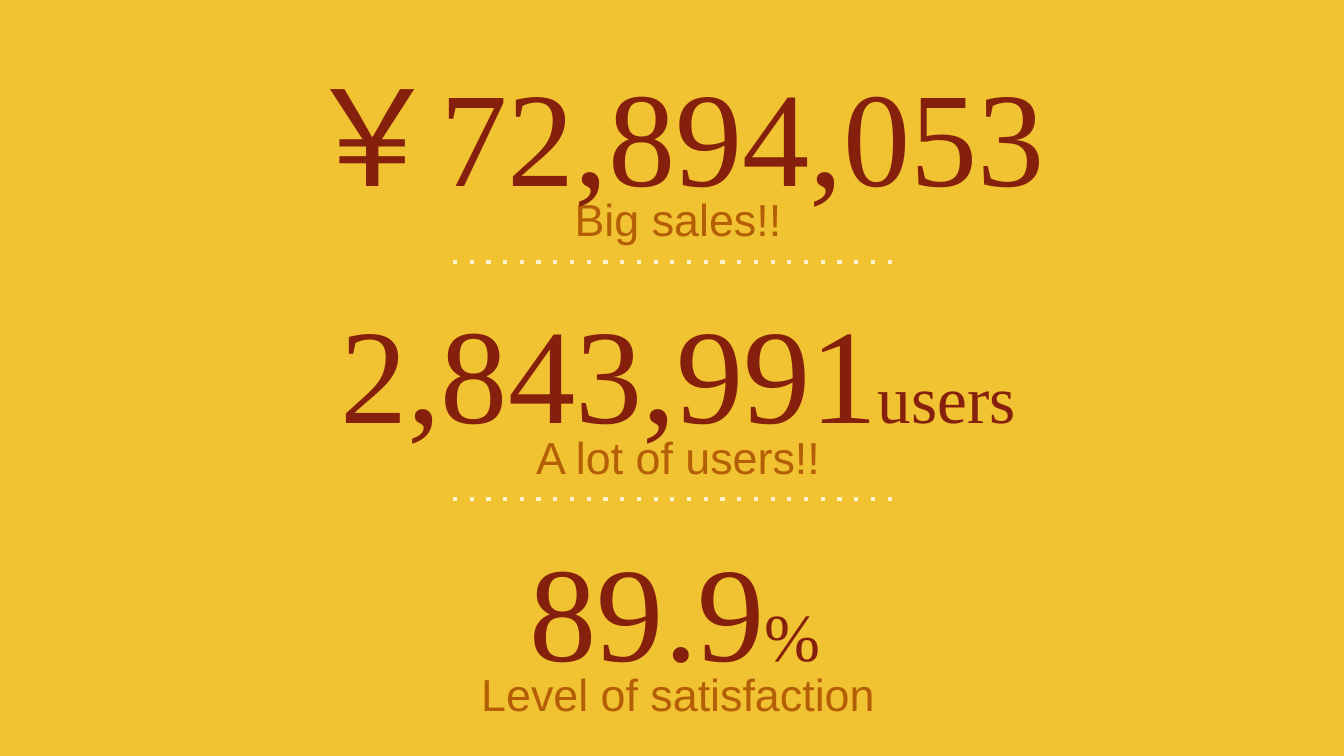
from pptx import Presentation
from pptx.dml.color import RGBColor
from pptx.enum.shapes import MSO_CONNECTOR
from pptx.enum.text import MSO_ANCHOR, PP_ALIGN
from pptx.oxml.ns import qn
from pptx.util import Inches, Pt
from lxml import etree

CENTER = PP_ALIGN.CENTER
TOP = MSO_ANCHOR.TOP
STRAIGHT = MSO_CONNECTOR.STRAIGHT

BACKGROUND = "F1C232"
FIGURE_COLOR = "85200C"
CAPTION_COLOR = "B45F06"
DIVIDER_COLOR = "FFF2CC"
SLIDE_WIDTH = 10
ROW_PITCH = 1.765

METRICS = [
    (0.96, [("￥72,894,053", 72)], "Big sales!!"),
    (0.98, [("2,843,991", 72), ("users", 36)], "A lot of users!!"),
    (0.96, [("89.9", 72), ("%", 36)], "Level of satisfaction"),
]


def rgb(value):
    return RGBColor.from_string(value)


def add_text(slide, left, top, width, height, parts, font, color, space_after=0):
    box = slide.shapes.add_textbox(
        Inches(left), Inches(top), Inches(width), Inches(height))
    frame = box.text_frame
    frame.word_wrap = True
    frame.vertical_anchor = TOP
    frame.margin_left = frame.margin_right = Inches(0.1)
    frame.margin_top = frame.margin_bottom = Inches(0.1)
    paragraph = frame.paragraphs[0]
    paragraph.alignment = CENTER
    paragraph.line_spacing = 1.15
    paragraph.space_after = Pt(space_after)
    for text, size in parts:
        run = paragraph.add_run()
        run.text = text
        run.font.name = font
        run.font.size = Pt(size)
        run.font.color.rgb = rgb(color)


def add_divider(slide, y):
    divider = slide.shapes.add_connector(
        STRAIGHT, Inches(3.37), Inches(y), Inches(6.69), Inches(y))
    divider.line.color.rgb = rgb(DIVIDER_COLOR)
    divider.line.width = Pt(2.25)
    properties = divider._element.spPr
    dash = etree.SubElement(properties.find(qn("a:ln")), qn("a:prstDash"))
    dash.set("val", "dot")
    etree.SubElement(properties, qn("a:effectLst"))


def main():
    presentation = Presentation()
    presentation.slide_width = Inches(SLIDE_WIDTH)
    presentation.slide_height = Inches(SLIDE_WIDTH * 9 / 16)
    slide = presentation.slides.add_slide(presentation.slide_layouts[6])
    slide.background.fill.solid()
    slide.background.fill.fore_color.rgb = rgb(BACKGROUND)

    for row, (left, figure, caption) in enumerate(METRICS):
        offset = row * ROW_PITCH
        add_text(slide, 0.73, 1.27 + offset, 8.63, 0.5, [(caption, 24)],
                 "Arial", CAPTION_COLOR, space_after=16)
        add_text(slide, left, 0.11 + offset, 8.13, 1.36, figure,
                 "Times New Roman", FIGURE_COLOR)
    for row in range(len(METRICS) - 1):
        add_divider(slide, 1.95 + row * ROW_PITCH)

    presentation.save("out.pptx")


if __name__ == "__main__":
    main()
